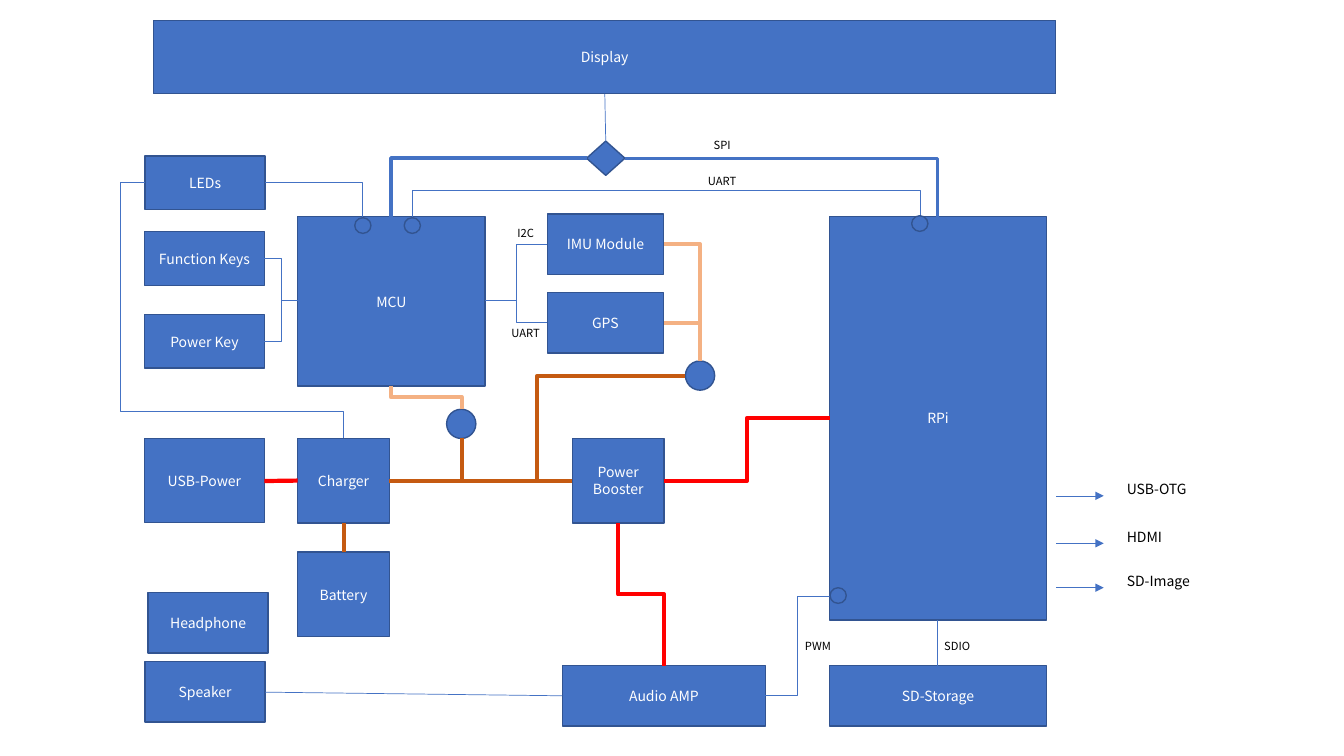
from lxml import etree
from pptx import Presentation
from pptx import util as u
from pptx.dml import color
from pptx.enum import shapes, text
from pptx.oxml import ns

COLORS = {
    "blue": "4472C4", "edge": "325491", "red": "FF0000", "brown": "C55A11",
    "peach": "F4B183", "white": "FFFFFF", "black": "000000",
}


class Diagram:
    """Draw the boxes, wires and labels of a block diagram on one slide."""

    font = "Noto Sans CJK KR"

    def __init__(self, presentation):
        self.slide = presentation.slides.add_slide(presentation.slide_layouts[6])

    def rgb(self, name):
        return color.RGBColor.from_string(COLORS[name])

    def set_words(self, shape, words, size, ink, align):
        frame = shape.text_frame
        frame.word_wrap = True
        paragraph = frame.paragraphs[0]
        paragraph.alignment = align
        run = paragraph.add_run()
        run.text = words
        for name, value in {"name": self.font, "size": u.Pt(size)}.items():
            setattr(run.font, name, value)
        run.font.color.rgb = self.rgb(ink)

    def node(self, kind, left, top, width, height, words="", filled=True):
        shape = self.slide.shapes.add_shape(kind, *map(u.Pt, (left, top, width, height)))
        shape.shadow.inherit = False
        if filled:
            shape.fill.solid()
            shape.fill.fore_color.rgb = self.rgb("blue")
        else:
            shape.fill.background()
        shape.line.color.rgb = self.rgb("edge")
        shape.line.width = u.Pt(1)
        if words:
            shape.text_frame.vertical_anchor = text.MSO_ANCHOR.MIDDLE
            self.set_words(shape, words, 10, "white", text.PP_ALIGN.CENTER)

    def label(self, words, left, top, width, height, size, align):
        box = self.slide.shapes.add_textbox(*map(u.Pt, (left, top, width, height)))
        self.set_words(box, words, size, "black", align)
        box.text_frame.auto_size = text.MSO_AUTO_SIZE.SHAPE_TO_FIT_TEXT

    def wire(self, ink, weight, *points, arrow=False):
        (x0, y0), (x1, y1) = points[0], points[-1]
        bent = len(points) > 2
        upright = bent and points[0][0] == points[1][0]
        if upright:
            middle_x, middle_y = (x0 + x1) / 2, (y0 + y1) / 2
            points = [(middle_x + y - middle_y, middle_y - x + middle_x) for x, y in points]
            (x0, y0), (x1, y1) = points[0], points[-1]
        kind = shapes.MSO_CONNECTOR.ELBOW if bent else shapes.MSO_CONNECTOR.STRAIGHT
        connector = self.slide.shapes.add_connector(kind, *map(u.Pt, (x0, y0, x1, y1)))
        connector.line.color.rgb = self.rgb(ink)
        connector.line.width = u.Pt(weight)
        properties = connector._element.spPr
        etree.SubElement(properties, ns.qn("a:effectLst"))
        if upright:
            properties.find(ns.qn("a:xfrm")).set("rot", "5400000")
        if bent:
            self.bend(properties.find(ns.qn("a:prstGeom")), points)
        if arrow:
            line = properties.find(ns.qn("a:ln"))
            etree.SubElement(line, ns.qn("a:tailEnd"), type="triangle")

    def bend(self, geometry, points):
        geometry.set("prst", f"bentConnector{len(points) - 1}")
        guides = geometry.find(ns.qn("a:avLst"))
        for index in range(1, len(points) - 2):
            axis = (index - 1) % 2
            start, end = points[0][axis], points[-1][axis]
            share = (points[index + axis - axis][axis] - start) / (end - start)
            etree.SubElement(guides, ns.qn("a:gd"), name=f"adj{index}",
                             fmla=f"val {round(share * 100000)}")


BOXES = [
    ("MCU", 212.6, 154.8, 133.9, 121), ("RPi", 592.6, 154.8, 154.8, 288),
    ("Charger", 212.6, 313.2, 65.5, 60.5), ("Power Booster", 408.8, 313.2, 65.5, 60.5),
    ("Display", 109.6, 14.6, 644.6, 52.4),
    ("GPS", 391, 209, 82.8, 43.2), ("IMU Module", 391, 152.8, 82.8, 43.2),
    ("SD-Storage", 592.6, 475.4, 154.8, 43.2), ("Audio AMP", 401.8, 475.4, 144.9, 43.2),
    ("Power Key", 103.1, 224.8, 85.8, 38.2), ("Function Keys", 103.1, 165.6, 85.8, 38.2),
    ("LEDs", 103.6, 111.4, 85.8, 38.2), ("USB-Power", 103.1, 313.2, 85.8, 59.9),
    ("Battery", 212.6, 394.4, 65.5, 60.5),
    ("Speaker", 103.6, 472.6, 85.8, 43.2), ("Headphone", 105.8, 423.2, 85.8, 43.2),
]
WIRES = [
    ("brown", 3, (245.5, 394.4), (245.5, 373.7)),
    ("red", 3, (188.9, 343.6), (212.6, 343.3)),
    ("brown", 3, (278.1, 343.4), (329.8, 343.4), (329.8, 313.2)),
    ("brown", 3, (278.1, 343.4), (408.8, 343.4)),
    ("red", 3, (474.3, 343.6), (533.5, 343.6), (533.5, 298.8), (592.6, 298.8)),
    ("red", 3, (441.5, 373.7), (441.5, 424.5), (474.3, 424.5), (474.3, 475.4)),
    ("brown", 3, (278.1, 343.4), (383.8, 343.4), (383.8, 268.4), (489.6, 268.4)),
    ("peach", 3, (474.3, 230.5), (499.9, 230.5), (499.9, 257.8)),
    ("peach", 3, (474.3, 174.3), (499.9, 174.3), (499.9, 257.8)),
    ("blue", 0.5, (346.5, 214.6), (368.8, 214.6), (368.8, 174.3), (391, 174.3)),
    ("blue", 0.5, (346.5, 214.6), (368.8, 214.6), (368.8, 230.5), (391, 230.5)),
    ("blue", 0.5, (212.6, 214.6), (200.9, 214.6), (200.9, 184.6), (188.9, 184.6)),
    ("blue", 0.5, (212.6, 214.6), (200.9, 214.6), (200.9, 244), (188.9, 244)),
    ("blue", 3, (419, 113), (279.4, 113), (279.4, 154.8)),
    ("blue", 2, (446.4, 113), (669.6, 113), (669.6, 154.8)),
    ("blue", 0.5, (432.7, 100.8), (432, 67)),
    ("peach", 3, (329.8, 292.3), (329.8, 283.7), (279.4, 283.7), (279.4, 275.4)),
    ("blue", 0.5, (189.4, 494.4), (401.8, 497)),
    ("blue", 0.5, (669.6, 442.8), (669.6, 475.4)),
    ("blue", 0.5, (294.5, 155.5), (294.5, 136.1), (657.4, 136.1), (657.4, 154.1)),
    ("blue", 0.5, (546.7, 496.8), (569.5, 496.8), (569.5, 425.7), (592.6, 425.7)),
    ("blue", 0.5, (189.4, 130.3), (259.2, 130.3), (259.2, 155.5)),
    ("blue", 0.5, (103.6, 130.3), (85.9, 130.3), (85.9, 293.8), (245.5, 293.8),
     (245.5, 313.2)),
]
JUNCTIONS = [(319, 292.3), (489.6, 257.8)]
PINS = [(253.4, 155.5, False), (288.7, 155.5, False), (651.2, 154.1, True),
        (592.9, 419.8, True)]
BUS_LABELS = [("SPI", 489.6, 95), ("UART", 489.6, 121), ("PWM", 558, 452.9),
              ("SDIO", 657.4, 452.9), ("I2C", 349.2, 158.4), ("UART", 349.2, 229.7)]
PORTS = [("USB-OTG", 354.2), ("HDMI", 388.1), ("SD-Image", 419.8)]


def main():
    presentation = Presentation()
    presentation.slide_width, presentation.slide_height = u.Pt(960), u.Pt(540)
    diagram = Diagram(presentation)
    preset = shapes.MSO_SHAPE
    for words, *place in BOXES:
        diagram.node(preset.RECTANGLE, *place, words)
    diagram.node(preset.DIAMOND, 419, 100.8, 27.4, 24.5)
    for left, top in JUNCTIONS:
        diagram.node(preset.OVAL, left, top, 20.9, 20.9)
    for ink, weight, *points in WIRES:
        diagram.wire(ink, weight, *points)
    for left, top, filled in PINS:
        diagram.node(preset.OVAL, left, top, 11.6, 11.2, filled=filled)
    for words, left, top in BUS_LABELS:
        diagram.label(words, left, top, 52.6, 17.3, 8, text.PP_ALIGN.CENTER)
    for words, y in PORTS:
        diagram.wire("blue", 0.5, (754.6, y), (788.4, y), arrow=True)
        diagram.label(words, 797.8, y - 14.4, 100, 19.4, 10, text.PP_ALIGN.LEFT)
    presentation.save("out.pptx")


if __name__ == "__main__":
    main()
